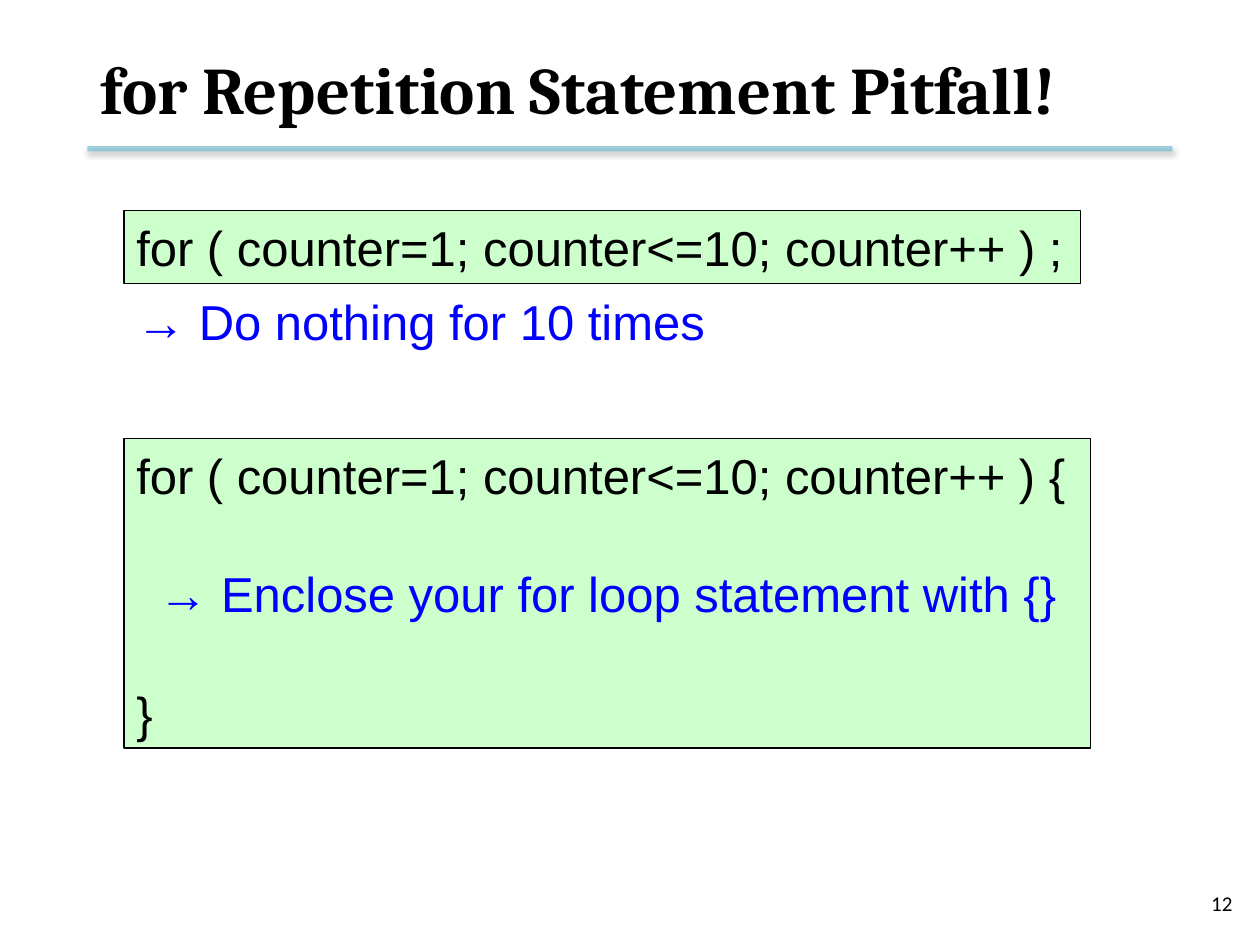
from lxml.etree import SubElement as add_element
from pptx import Presentation
from pptx.dml.color import RGBColor as Color
from pptx.enum.shapes import MSO_CONNECTOR as Connector, MSO_SHAPE as Shape
from pptx.enum.text import MSO_ANCHOR as Anchor, MSO_AUTO_SIZE as AutoSize, PP_ALIGN as Align
from pptx.oxml.ns import qn
from pptx.util import Pt

COLORS = {"text": "000000", "note": "0000FF", "code": "CCFFCC", "rule": "4BACC6"}
LINE_PITCH = 34
LOOP = "for ( counter=1; counter<=10; counter++ ) "


def color(name):
    return Color.from_string(COLORS[name])


def write(para, text, font="Arial", size=28, ink="text", bold=False,
          align=Align.LEFT, hanging=0, pitch=None, before=0):
    if hanging:
        properties = para._p.get_or_add_pPr()
        properties.set("marL", str(Pt(hanging)))
        properties.set("indent", str(-Pt(hanging)))
    para.alignment = align
    if pitch:
        para.line_spacing = Pt(pitch)
    if before:
        para.space_before = Pt(before)
    span = para.add_run()
    span.text = text
    span.font.name, span.font.size, span.font.bold = font, Pt(size), bold
    span.font.color.rgb = color(ink)


class SlideBuilder:
    def __init__(self, page):
        self.page = page
        self.code_style = {"hanging": 18, "pitch": LINE_PITCH}

    def title(self, text, left, top, width, height):
        box = self.page.shapes.title
        box.left, box.top, box.width, box.height = map(Pt, (left, top, width, height))
        frame = box.text_frame
        frame.auto_size = AutoSize.NONE
        frame.vertical_anchor = Anchor.MIDDLE
        write(frame.paragraphs[0], text, font="Cambria", size=38, bold=True)

    def rule(self, left, right, top):
        line = self.page.shapes.add_connector(
            Connector.STRAIGHT, Pt(left), Pt(top), Pt(right), Pt(top))
        line.line.width = Pt(3)
        line.line.color.rgb = color("rule")
        properties = line._element.spPr
        ink = properties.find(".//" + qn("a:srgbClr"))
        add_element(ink, qn("a:alpha"), val="50000")
        effects = add_element(properties, qn("a:effectLst"))
        shadow = add_element(effects, qn("a:outerShdw"), blurRad=str(Pt(3.1)),
                             dist=str(Pt(1.6)), dir="5400000", rotWithShape="0")
        shade = add_element(shadow, qn("a:srgbClr"), val=COLORS["text"])
        add_element(shade, qn("a:alpha"), val="38000")

    def code(self, lines, left, top, width, height, gap=0):
        box = self.page.shapes.add_shape(
            Shape.RECTANGLE, Pt(left), Pt(top), Pt(width), Pt(height))
        box.shadow.inherit = False
        box.fill.solid()
        box.fill.fore_color.rgb = color("code")
        box.line.color.rgb = color("text")
        box.line.width = Pt(0.75)
        frame = box.text_frame
        frame.word_wrap = False
        frame.vertical_anchor = Anchor.TOP
        for index, text in enumerate(lines):
            para = frame.add_paragraph() if index else frame.paragraphs[0]
            write(para, text, before=gap if index else 0, **self.code_style)

    def label(self, text, left, top, width, height, anchor=Anchor.TOP, **style):
        box = self.page.shapes.add_textbox(Pt(left), Pt(top), Pt(width), Pt(height))
        frame = box.text_frame
        frame.word_wrap = False
        frame.vertical_anchor = anchor
        write(frame.paragraphs[0], text, **style)

    def note(self, text, left, top, width, height):
        self.label(text, left, top, width, height, ink="note", **self.code_style)

    def number(self, text, left, top, width, height):
        self.label(text, left, top, width, height, anchor=Anchor.MIDDLE,
                   font="Calibri", size=12, align=Align.RIGHT)


def main():
    deck = Presentation()
    deck.slide_width, deck.slide_height = Pt(720), Pt(540)
    slide = SlideBuilder(deck.slides.add_slide(deck.slide_layouts[5]))
    slide.rule(50, 670, 85)
    slide.number("12", 543.6, 501.8, 167.8, 28.8)
    slide.title("for Repetition Statement Pitfall!", 50, 12.2, 620, 76.3)
    slide.code([LOOP + ";"], 70.8, 120.2, 546.5, 41.8)
    slide.note("→ Do nothing for 10 times", 70.8, 162.7, 340, 41)
    slide.code([LOOP + "{", "}"], 70.8, 250.5, 552.2, 177, gap=3 * LINE_PITCH)
    slide.note("→ Enclose your for loop statement with {}", 83.5, 318.2, 533.5, 41)
    deck.save("out.pptx")


if __name__ == "__main__":
    main()
